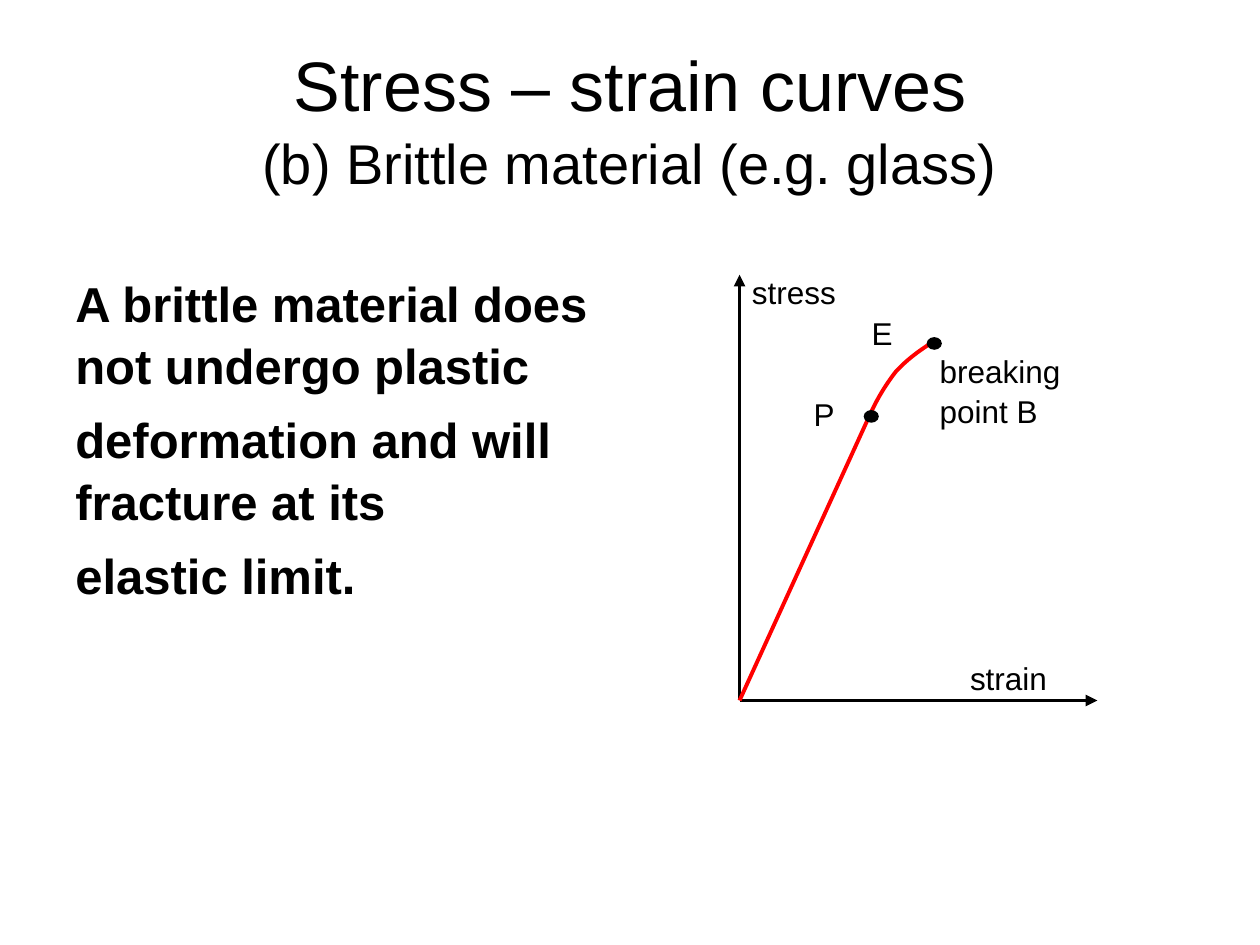
from lxml import etree
from pptx import Presentation
from pptx import util as u
from pptx.dml import color
from pptx.enum import shapes, text
from pptx.oxml import ns

COLORS = {"ink": "000000", "curve": "FF0000"}

deck = Presentation()
deck.slide_width, deck.slide_height = u.Pt(720), u.Pt(540)
page = deck.slides.add_slide(deck.slide_layouts[6])


def add_text(place, paragraphs, size, bold=False, **layout):
    """Add a box; each paragraph is a list of (line, size) pairs or a string."""
    box = page.shapes.add_textbox(*map(u.Pt, place))
    frame = box.text_frame
    frame.word_wrap = True
    frame.vertical_anchor = layout.get("anchor", text.MSO_ANCHOR.TOP)
    for index, content in enumerate(paragraphs):
        para = frame.paragraphs[0] if index == 0 else frame.add_paragraph()
        formats = {"alignment": layout.get("align", text.PP_ALIGN.LEFT),
                   "line_spacing": 1.05,
                   "space_before": u.Pt(7 if index else 0)}
        for name, value in formats.items():
            setattr(para, name, value)
        lines = [(content, size)] if isinstance(content, str) else content
        for number, (words, points) in enumerate(lines):
            if number:
                para.add_line_break()
            span = para.add_run()
            span.text = words
            for name, value in {"name": "Arial", "size": u.Pt(points), "bold": bold}.items():
                setattr(span.font, name, value)
            span.font.color.rgb = color.RGBColor.from_string(COLORS["ink"])


def add_line(start, end, shade, arrow=False):
    line = page.shapes.add_connector(
        shapes.MSO_CONNECTOR.STRAIGHT, *map(u.Pt, (*start, *end)))
    line.line.color.rgb = color.RGBColor.from_string(COLORS[shade])
    line.line.width = u.Pt(2.25)
    if arrow:
        etree.SubElement(line.line._get_or_add_ln(), ns.qn("a:tailEnd"), type="triangle")
    etree.SubElement(line._element.spPr, ns.qn("a:effectLst"))


# Title and body text
add_text((36, 21.6, 648, 90),
         [[("Stress – strain curves", 40), ("(b) Brittle material (e.g. glass)", 32)]],
         40, anchor=text.MSO_ANCHOR.MIDDLE, align=text.PP_ALIGN.CENTER)
add_text((36, 151.2, 329.8, 295.2),
         ["A brittle material does not undergo plastic",
          "deformation and will fracture at its",
          "elastic limit."], 28, bold=True)

# Curved part, two Bezier segments sharing an end point
limit, breaking = (496.8, 237.6), (533.5, 195.1)
joint = (511.9, 212.4)
segments = [(limit, (501.1, 228.2), (506.2, 219.6), joint),
            (joint, (518.4, 205.2), (525.6, 200.2), breaking)]
STEPS = 12
points = []
for a, b, c, d in segments:
    for step in range(1, STEPS + 1):
        t = step / STEPS
        points.append(tuple(
            u.Pt((1 - t) ** 3 * p + 3 * (1 - t) ** 2 * t * q + 3 * (1 - t) * t ** 2 * r + t ** 3 * s)
            for p, q, r, s in zip(a, b, c, d)))
builder = page.shapes.build_freeform(*map(u.Pt, limit))
builder.add_line_segments(points, close=False)
curve = builder.convert_to_shape()
curve.shadow.inherit = False
curve.fill.background()
curve.line.color.rgb = color.RGBColor.from_string(COLORS["curve"])
curve.line.width = u.Pt(2.25)

# Axes and the straight part
origin = (422.6, 400.3)
add_line(origin, (origin[0], 157), "ink", arrow=True)
add_line(origin, (627.1, origin[1]), "ink", arrow=True)
add_line(origin, limit, "curve")

# Marked points
for left, top in [(529.9, 193), (493.9, 234.7)]:
    dot = page.shapes.add_shape(
        shapes.MSO_SHAPE.OVAL, *map(u.Pt, (left, top, 7.9, 6.5)))
    dot.shadow.inherit = False
    dot.fill.solid()
    for paint in (dot.fill.fore_color, dot.line.color):
        paint.rgb = color.RGBColor.from_string(COLORS["ink"])
    dot.line.width = u.Pt(0.75)

# Labels
labels = {"stress": (422.6, 151.2, 94.3, 38.9),
          "P": (457.9, 221, 49.7, 36.7),
          "E": (491, 175, 43.9, 38.2),
          "breaking point B": (529.9, 196.6, 125.3, 62.6),
          "strain": (547.2, 372.2, 94.3, 38.9)}
for words, place in labels.items():
    add_text(place, [words], 18)

deck.save("out.pptx")
